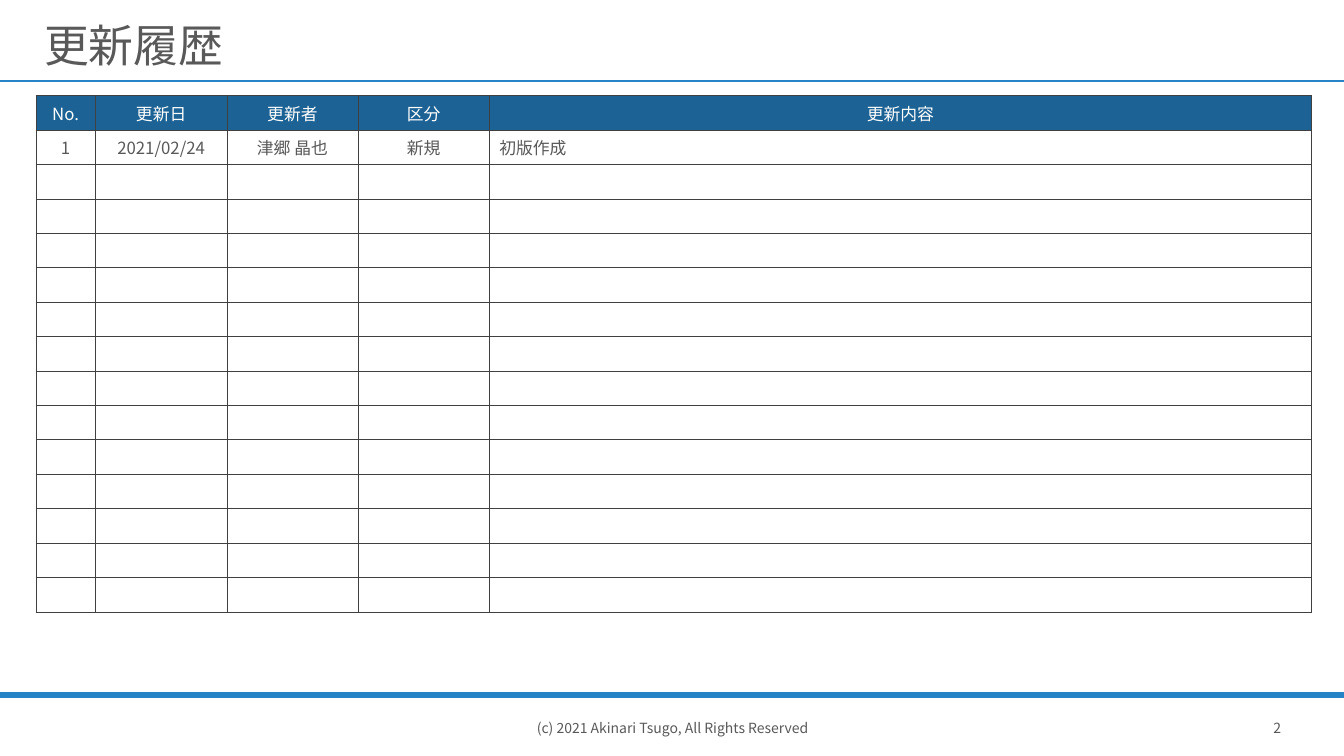
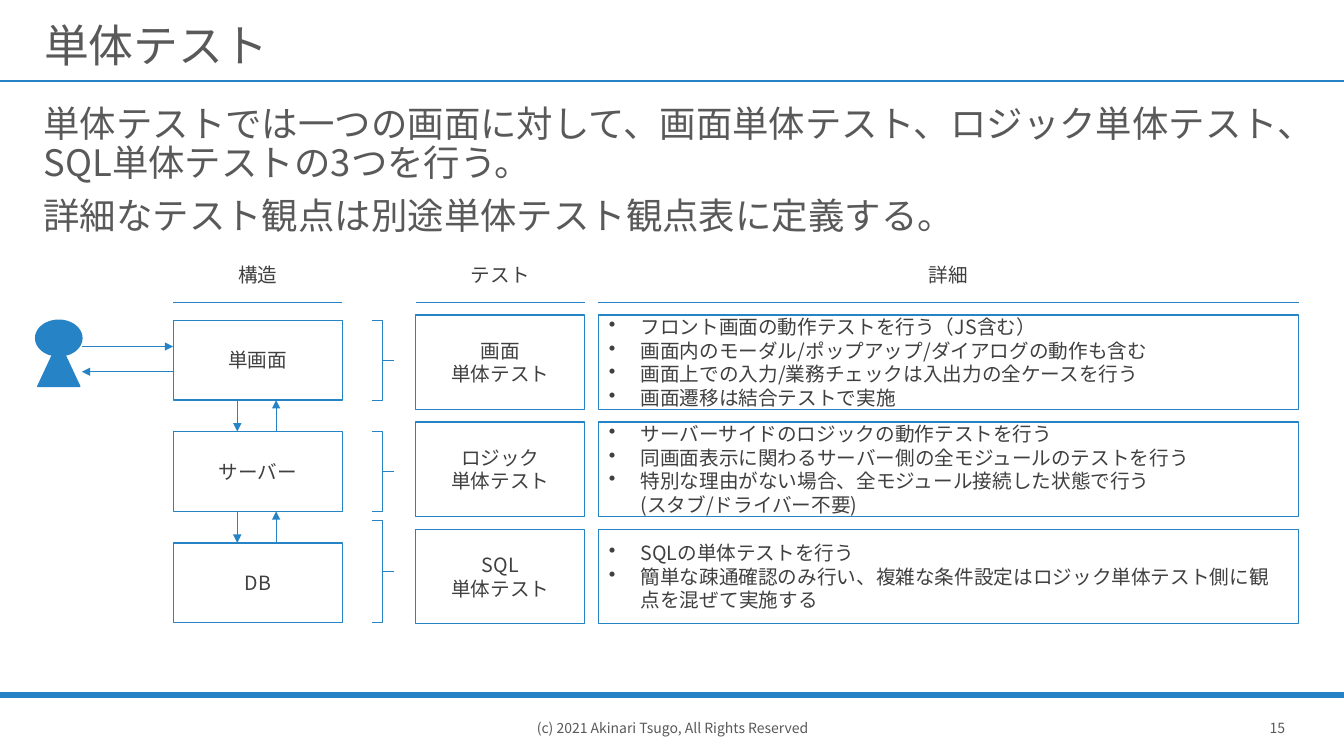
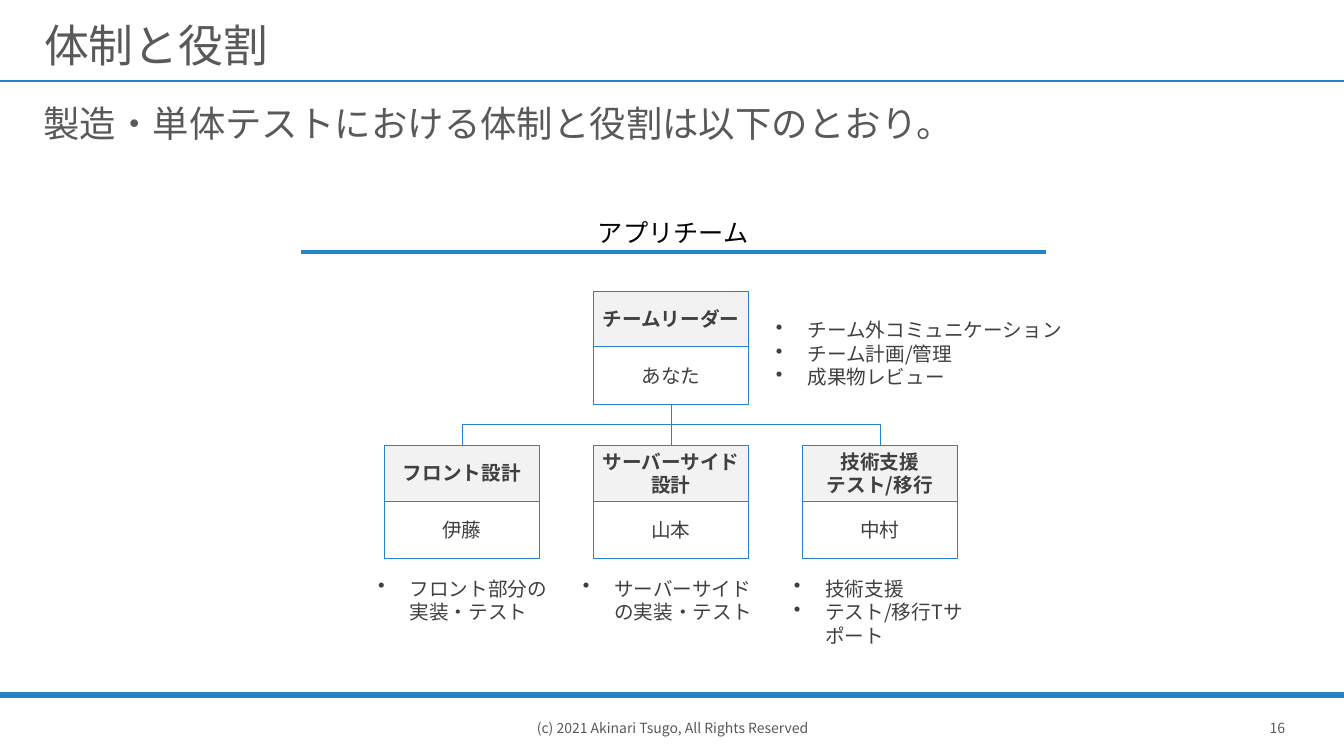
import copy
import dataclasses
import math

import lxml.etree
import pptx
import pptx.dml.color
import pptx.enum.lang
import pptx.enum.shapes
import pptx.enum.text
import pptx.oxml.ns
import pptx.util

SHAPE = pptx.enum.shapes.MSO_SHAPE
LINK = pptx.enum.shapes.MSO_CONNECTOR
ALIGN = pptx.enum.text.PP_ALIGN
ANCHOR = pptx.enum.text.MSO_ANCHOR
qn = pptx.oxml.ns.qn


@dataclasses.dataclass(frozen=True)
class Theme:
    font: str = "Noto Sans CJK JP"
    blue: str = "2683C6"
    navy: str = "1D6294"
    gray: str = "595959"
    dark: str = "404040"
    pale: str = "F2F2F2"
    white: str = "FFFFFF"
    black: str = "000000"
    title: int = 32
    lead: int = 26
    team: int = 18
    body: int = 14
    cell: int = 12
    foot: int = 10
    tight: float = 0.9


THEME = Theme()


def px(n):
    return pptx.util.Emu(round(n * 9525))


def rgb(code):
    return pptx.dml.color.RGBColor.from_string(code)


def add(node, tag, **attrs):
    return lxml.etree.SubElement(node, qn(tag), attrs)


def write(frame, text, size=THEME.body, color=THEME.dark, bold=False,
          align=ALIGN.CENTER, space=1.0, before=0, bullet=False):
    items = [text] if isinstance(text, str) else text
    for i, item in enumerate(items):
        para = frame.paragraphs[0] if i == 0 else frame.add_paragraph()
        para.text = item
        para.alignment = align
        para.line_spacing = space
        para.space_before = pptx.util.Pt(before)
        if bullet:
            props = para._p.get_or_add_pPr()
            props.set("marL", str(px(30)))
            props.set("indent", str(px(-30)))
            add(props, "a:buChar", char="•")
        for run in para.runs:
            font = run.font
            font.size = pptx.util.Pt(size)
            font.bold = bold
            font.name = THEME.font
            font.color.rgb = rgb(color)
            font.language_id = pptx.enum.lang.MSO_LANGUAGE_ID.JAPANESE
            add(run._r.rPr, "a:ea", typeface=THEME.font)
        for brk in para._p.findall(qn("a:br")):
            brk.append(copy.deepcopy(para.runs[0]._r.rPr))
        if not item:
            end = add(para._p, "a:endParaRPr", lang="ja-JP", sz=str(size * 100))
            add(end, "a:latin", typeface=THEME.font)
            add(end, "a:ea", typeface=THEME.font)


class Deck:
    def __init__(self, theme):
        self.theme = theme
        self.show = pptx.Presentation()
        self.show.slide_width = px(1280)
        self.show.slide_height = px(720)

    def open(self, title, number, lead=None):
        t = self.theme
        self.slide = self.show.slides.add_slide(self.show.slide_layouts[6])
        self.shapes = self.slide.shapes
        self.line(0, 77, 1280, 77, width=1)
        self.line(0, 662, 1280, 662, width=4.5)
        small = dict(size=t.foot, color=t.gray, anchor=ANCHOR.MIDDLE, wrap=False)
        self.label(1185, 667, 63, 53, str(number), **small)
        self.label(444, 667, 393, 53, "(c) 2021 Akinari Tsugo, All Rights Reserved", **small)
        self.label(32, 6, 1216, 66, title, size=t.title, color=t.gray, align=ALIGN.LEFT,
                   anchor=ANCHOR.MIDDLE, inset=(10, 19, 10, 5), space=t.tight)
        if lead:
            self.label(32, 96, 1216, 70, lead, size=t.lead, color=t.gray,
                       align=ALIGN.LEFT, space=t.tight, before=10)

    def fill(self, frame, text, anchor=ANCHOR.TOP, inset=None, wrap=True, **style):
        frame.word_wrap = wrap
        frame.vertical_anchor = anchor
        if inset:
            (frame.margin_left, frame.margin_top,
             frame.margin_right, frame.margin_bottom) = map(px, inset)
        write(frame, text, **style)

    def label(self, x, y, w, h, text, **style):
        box = self.shapes.add_textbox(px(x), px(y), px(w), px(h))
        self.fill(box.text_frame, text, **style)

    def paint(self, shape, fill, width):
        shape.shadow.inherit = False
        if fill:
            shape.fill.solid()
            shape.fill.fore_color.rgb = rgb(fill)
        else:
            shape.fill.background()
        if width:
            shape.line.color.rgb = rgb(self.theme.blue)
            shape.line.width = pptx.util.Pt(width)
        else:
            shape.line.fill.background()

    def box(self, x, y, w, h, text, back=THEME.white, width=1, anchor=ANCHOR.MIDDLE, **style):
        shape = self.shapes.add_shape(SHAPE.RECTANGLE, px(x), px(y), px(w), px(h))
        self.paint(shape, back, width)
        self.fill(shape.text_frame, text, anchor=anchor, **style)
        return shape

    def list(self, x, y, w, h, items, **style):
        return self.box(x, y, w, h, items, bullet=True, align=ALIGN.LEFT, **style)

    def brace(self, x, y, w, h):
        shape = self.shapes.add_shape(SHAPE.RIGHT_BRACE, px(x), px(y), px(w), px(h))
        shape.adjustments[0] = 0
        self.paint(shape, None, 0.5)

    def user(self, x, y):
        arc = [math.radians(a) for a in range(112, 429, 4)]
        dots = [(x + 22 * math.cos(a), y + 17 * math.sin(a)) for a in arc]
        dots += [(x + 6, y + 16), (x + 20, y + 46), (x - 20, y + 46), (x - 6, y + 16)]
        spots = [(px(a), px(b)) for a, b in dots]
        pen = self.shapes.build_freeform(*spots[0])
        pen.add_line_segments(spots[1:])
        self.paint(pen.convert_to_shape(), self.theme.blue, 1)

    def stroke(self, link, width, arrow=False):
        link.line.color.rgb = rgb(self.theme.blue)
        link.line.width = pptx.util.Pt(width)
        if arrow:
            add(link.line._get_or_add_ln(), "a:tailEnd", type="triangle")
        add(link.element.spPr, "a:effectLst")

    def line(self, x1, y1, x2, y2, width=0.5, arrow=False):
        link = self.shapes.add_connector(LINK.STRAIGHT, px(x1), px(y1), px(x2), px(y2))
        self.stroke(link, width, arrow)

    def join(self, top, low):
        x1, y1 = top.left + top.width // 2, top.top + top.height
        x2, y2 = low.left + low.width // 2, low.top
        kind = LINK.STRAIGHT if x1 == x2 else LINK.ELBOW
        link = self.shapes.add_connector(kind, x1, y1, x2, y2)
        link.begin_connect(top, 2)
        link.end_connect(low, 0)
        if x1 != x2:
            wide, high = y2 - y1, abs(x2 - x1)
            link.left, link.top = (x1 + x2 - wide) // 2, (y1 + y2 - high) // 2
            link.width, link.height = wide, high
            frame = link.element.spPr.find(qn("a:xfrm"))
            frame.set("rot", str((90 if x2 < x1 else 270) * 60000))
            frame.set("flipH", "0" if x2 < x1 else "1")
        self.stroke(link, 0.5)

    def card(self, x, y, role, name):
        head = self.box(x, y, 148, 53, role, back=self.theme.pale, width=0.25,
                        inset=(6, 4, 6, 4), bold=True)
        base = self.box(x, y + 53, 148, 55, name, width=0.25, inset=(12, 8, 12, 8))
        return head, base

    def edge(self, cell):
        props = cell._tc.get_or_add_tcPr()
        for i, side in enumerate("LRTB"):
            ln = lxml.etree.Element(qn("a:ln" + side), w="3175")
            add(add(ln, "a:solidFill"), "a:srgbClr", val=self.theme.dark)
            props.insert(i, ln)

    def table(self, x, y, high, widths, rows):
        t = self.theme
        grid = self.shapes.add_table(len(rows), len(widths), px(x), px(y),
                                     px(sum(widths)), px(high)).table
        grid.horz_banding = False
        grid.first_row = False
        for col, wide in zip(grid.columns, widths):
            col.width = px(wide)
        for r, row in enumerate(rows):
            for c, text in enumerate(row):
                cell = grid.cell(r, c)
                cell.vertical_anchor = ANCHOR.MIDDLE
                if r == 0:
                    cell.fill.solid()
                    cell.fill.fore_color.rgb = rgb(t.navy)
                else:
                    cell.fill.background()
                last = r > 0 and c == len(widths) - 1
                write(cell.text_frame, text, size=t.cell,
                      color=t.gray if r else t.white,
                      align=ALIGN.LEFT if last else ALIGN.CENTER)
                self.edge(cell)


def history(deck):
    deck.open("更新履歴", 2)
    rows = [["No.", "更新日", "更新者", "区分", "更新内容"],
            ["1", "2021/02/24", "津郷 晶也", "新規", "初版作成"]]
    rows += [[""] * 5 for _ in range(13)]
    deck.table(34, 91, 492, [57, 125, 125, 125, 783], rows)


def tests(deck):
    deck.open("単体テスト", 15, [
        "単体テストでは一つの画面に対して、画面単体テスト、ロジック単体テスト、SQL単体テストの3つを行う。",
        "詳細なテスト観点は別途単体テスト観点表に定義する。"])
    for x, w, text in [(165, 161, "構造"), (396, 161, "テスト"), (570, 667, "詳細")]:
        deck.line(x, 288, x + w, 288)
        deck.label(x, 246, w, 32, text)
    rows = [
        ("単画面", "画面", [
            "フロント画面の動作テストを行う（JS含む）",
            "画面内のモーダル/ポップアップ/ダイアログの動作も含む",
            "画面上での入力/業務チェックは入出力の全ケースを行う",
            "画面遷移は結合テストで実施"]),
        ("サーバー", "ロジック", [
            "サーバーサイドのロジックの動作テストを行う",
            "同画面表示に関わるサーバー側の全モジュールのテストを行う",
            "特別な理由がない場合、全モジュール接続した状態で行う\n(スタブ/ドライバー不要)"]),
        ("DB", "SQL", [
            "SQLの単体テストを行う",
            "簡単な疎通確認のみ行い、複雑な条件設定はロジック単体テスト側に観点を混ぜて実施する"])]
    for i, (part, test, notes) in enumerate(rows):
        deck.box(165, 305 + 106 * i, 161, 76, part)
        deck.box(396, 300 + 102 * i, 161, 90, test + "\n単体テスト")
        deck.list(570, 300 + 102 * i, 667, 90, notes, inset=(10, 5, 14, 5))
    for y, h in [(305, 76), (411, 76), (496, 97)]:
        deck.brace(354, y, 21, h)
    for y in (381, 487):
        deck.line(226, y, 226, y + 30, arrow=True)
        deck.line(263, y + 30, 263, y, arrow=True)
    deck.user(56, 322)
    deck.line(78, 330, 165, 330, arrow=True)
    deck.line(165, 354, 78, 354, arrow=True)


def roles(deck):
    deck.open("体制と役割", 16, "製造・単体テストにおける体制と役割は以下のとおり。")
    deck.label(335, 202, 612, 38, "アプリチーム", size=THEME.team, color=THEME.black)
    deck.line(287, 240, 996, 240, width=2.25)
    plain = dict(width=0, anchor=ANCHOR.TOP, inset=(12, 8, 12, 8))
    deck.list(727, 295, 301, 74,
              ["チーム外コミュニケーション", "チーム計画/管理", "成果物レビュー"], **plain)
    _, lead = deck.card(565, 277, "チームリーダー", "あなた")
    staff = [
        (348, "フロント設計", "伊藤", ["フロント部分の実装・テスト"]),
        (543, "サーバーサイド\n設計", "山本", ["サーバーサイドの実装・テスト"]),
        (744, "技術支援\nテスト/移行", "中村", ["技術支援", "テスト/移行Tサポート"])]
    for i, (x, role, name, duty) in enumerate(staff):
        deck.list(x, 541, 190, 74, duty, **plain)
        head, _ = deck.card(366 + 199 * i, 424, role, name)
        deck.join(lead, head)


def main():
    deck = Deck(THEME)
    history(deck)
    tests(deck)
    roles(deck)
    deck.show.save("out.pptx")


if __name__ == "__main__":
    main()
